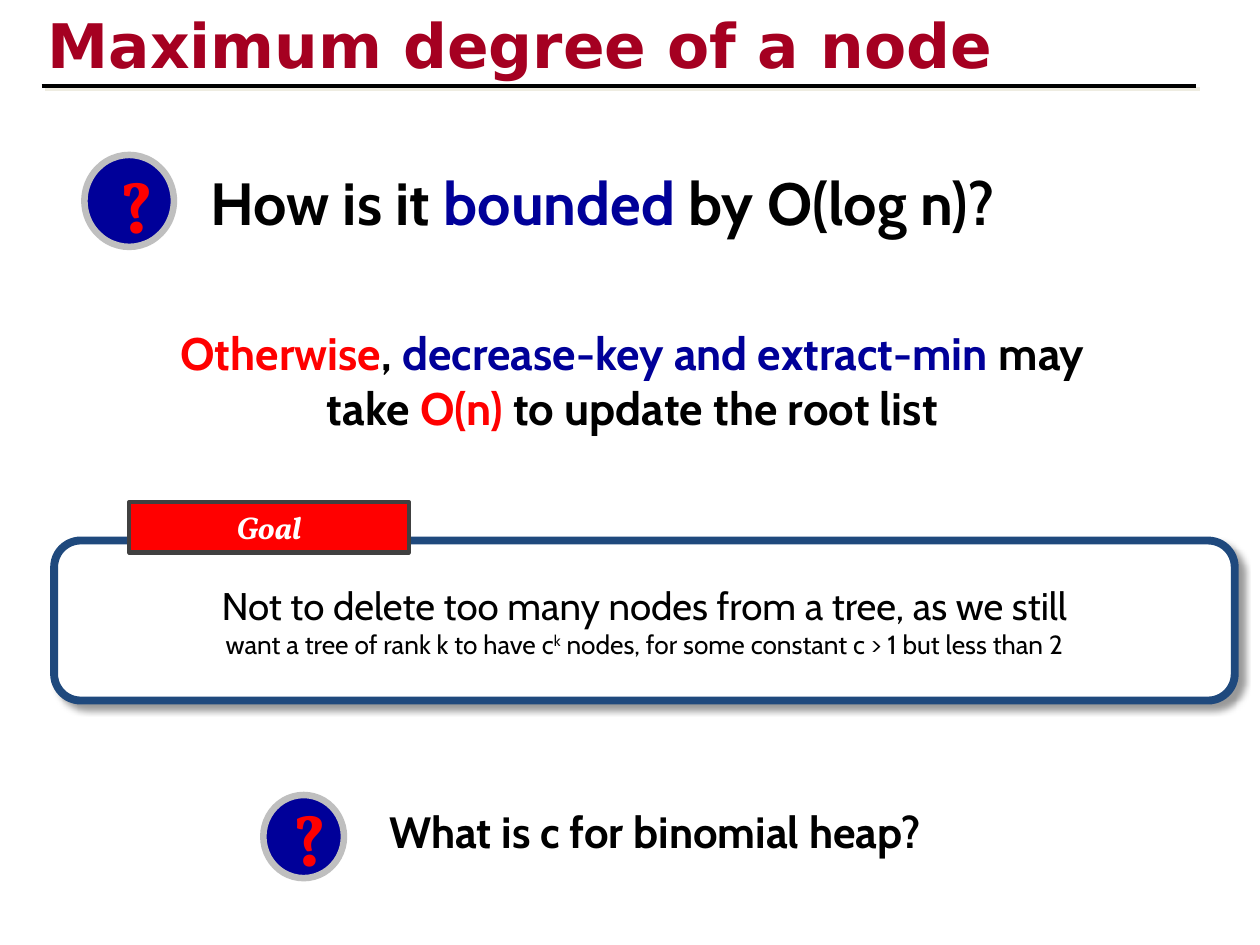
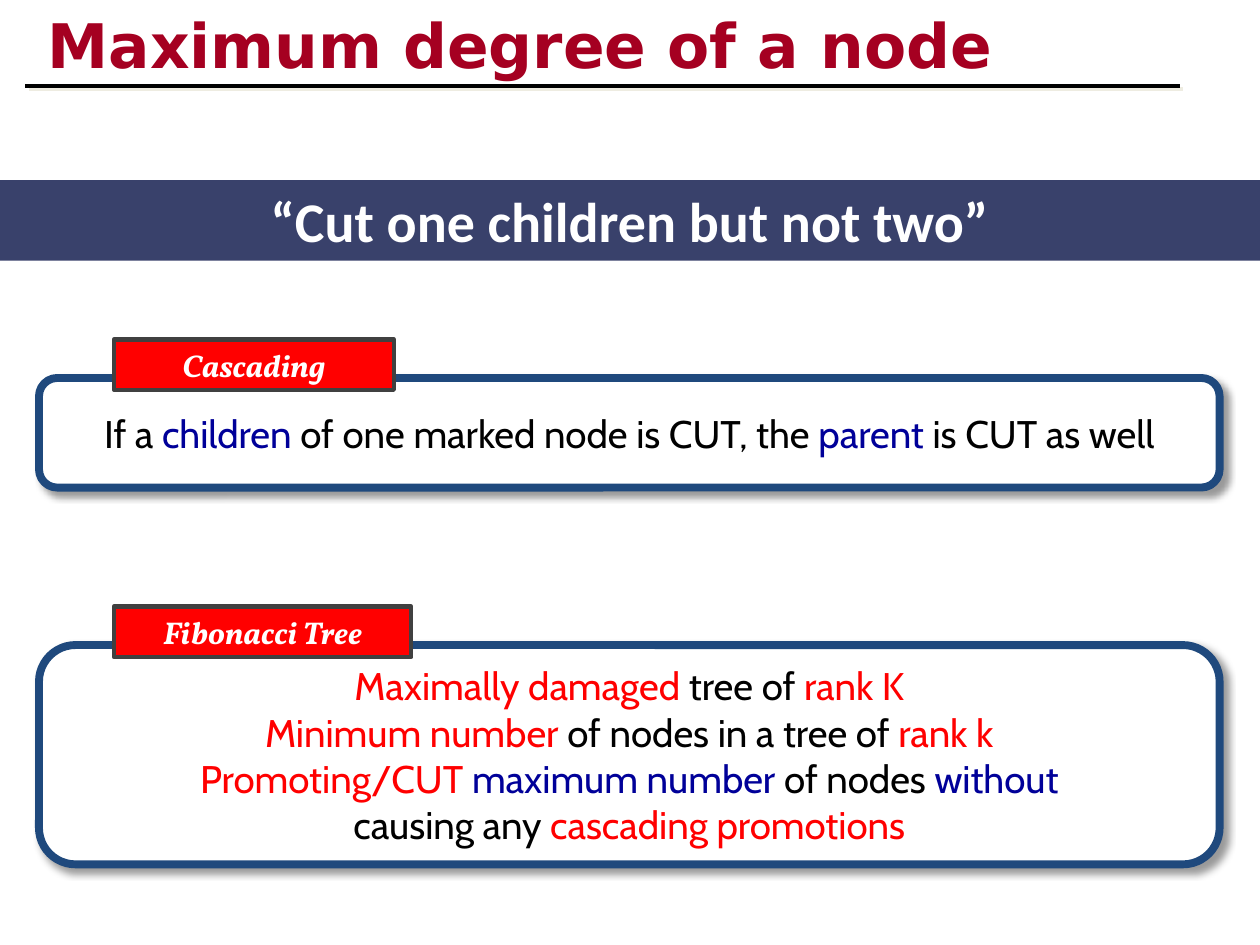
from dataclasses import dataclass

from lxml import etree
from pptx import Presentation
from pptx.dml.color import RGBColor
from pptx.enum.shapes import MSO_CONNECTOR, MSO_SHAPE
from pptx.enum.text import MSO_ANCHOR, MSO_AUTO_SIZE, PP_ALIGN
from pptx.oxml.ns import qn
from pptx.util import Inches, Pt

LEFT, CENTER = PP_ALIGN.LEFT, PP_ALIGN.CENTER
TOP, MIDDLE = MSO_ANCHOR.TOP, MSO_ANCHOR.MIDDLE
RECT, ROUNDED, OVAL = MSO_SHAPE.RECTANGLE, MSO_SHAPE.ROUNDED_RECTANGLE, MSO_SHAPE.OVAL
STRAIGHT = MSO_CONNECTOR.STRAIGHT
NO_AUTOFIT = MSO_AUTO_SIZE.NONE

SLIDE_W, SLIDE_H = Inches(10), Inches(7.5)
COL, ROW = SLIDE_W / 100, SLIDE_H / 75
TITLE_ONLY = 5

COLORS = {
    "title": "A50021",
    "black": "000000",
    "white": "FFFFFF",
    "red": "FF0000",
    "blue": "000099",
    "ring": "BFBFBF",
    "card": "1F497D",
    "label": "404040",
    "band": "39416B",
    "glow": "EEECE1",
}


@dataclass
class Box:
    left: float
    top: float
    width: float
    height: float

    def emu(self):
        return (round(self.left * COL), round(self.top * ROW),
                round(self.width * COL), round(self.height * ROW))

    def inner(self, left, top, width, height):
        return Box(self.left + left, self.top + top, width, height)


@dataclass
class Style:
    font: str
    size: float
    bold: bool = False
    italic: bool = False
    align: int = LEFT


@dataclass
class Run:
    text: str
    color: str = "black"
    size: float = 0
    baseline: int = 0


TITLE = Style("DejaVu Sans", 35.1, bold=True)
QUESTION = Style("Cabin", 34, bold=True)
SMALL_QUESTION = Style("Cabin", 25, bold=True)
MARK = Style("Vollkorn", 40, bold=True)
REASON = Style("Cabin", 26, bold=True, align=CENTER)
CARD = Style("Cabin", 22, align=CENTER)
LABEL = Style("Vollkorn", 18, bold=True, italic=True, align=CENTER)
BAND = Style("Calibri", 32, bold=True, align=CENTER)


def rgb(name):
    return RGBColor.from_string(COLORS[name])


def shadow_effect(color, alpha, blur, distance):
    effects = etree.Element(qn("a:effectLst"))
    outer = etree.SubElement(effects, qn("a:outerShdw"), blurRad=str(Pt(blur)),
                             dist=str(Pt(distance)), dir=str(45 * 60000),
                             algn="tl", rotWithShape="0")
    tint = etree.SubElement(outer, qn("a:srgbClr"), val=COLORS[color])
    etree.SubElement(tint, qn("a:alpha"), val=str(alpha * 1000))
    return effects


def write(frame, paragraphs, style, anchor=TOP, wrap=True):
    frame.word_wrap = wrap
    frame.auto_size = NO_AUTOFIT
    frame.vertical_anchor = anchor
    for index, runs in enumerate(paragraphs):
        paragraph = frame.add_paragraph() if index else frame.paragraphs[0]
        paragraph.alignment = style.align
        for part in runs:
            run = paragraph.add_run()
            run.text = part.text
            run.font.name = style.font
            run.font.size = Pt(part.size or style.size)
            run.font.bold = style.bold
            run.font.italic = style.italic
            run.font.color.rgb = rgb(part.color)
            if part.baseline:
                run._r.get_or_add_rPr().set("baseline", str(part.baseline * 1000))


def add_text(slide, box, runs, style):
    write(slide.shapes.add_textbox(*box.emu()).text_frame, [runs], style)


def add_panel(slide, kind, box, fill, line=None, line_width=0):
    panel = slide.shapes.add_shape(kind, *box.emu())
    panel.shadow.inherit = False
    panel.fill.solid()
    panel.fill.fore_color.rgb = rgb(fill)
    if line:
        panel.line.color.rgb = rgb(line)
        panel.line.width = Pt(line_width)
    else:
        panel.line.fill.background()
    return panel


def add_heading(slide, rule_left):
    heading = slide.shapes.title
    heading.left, heading.top, heading.width, heading.height = Box(2.8, 0.1, 85, 6.7).emu()
    write(heading.text_frame, [[Run("Maximum degree of a node", "title")]], TITLE)
    letters = heading.text_frame.paragraphs[0].runs[0]._r.get_or_add_rPr()
    letters.find(qn("a:solidFill")).addnext(shadow_effect("glow", 100, 0, 2.8))

    left, top, width, _ = Box(rule_left, 6.8, 91.65, 0).emu()
    rule = slide.shapes.add_connector(STRAIGHT, left, top, left + width, top)
    rule.line.color.rgb = rgb("black")
    rule.line.width = Pt(2.25)
    rule._element.spPr.append(shadow_effect("glow", 100, 0, 2.8))


def add_badge(slide, box, mark_left, mark_top):
    add_panel(slide, OVAL, box, "blue", "ring", 3.75)
    mark = box.inner(mark_left, mark_top, box.width * 0.68, box.height * 1.06)
    add_text(slide, mark, [Run("?", "red")], MARK)


def add_card(slide, box, label, label_width, paragraphs):
    card = add_panel(slide, ROUNDED, box, "white", "card", 4.5)
    effects = card._element.spPr.find(qn("a:effectLst"))
    effects.getparent().replace(effects, shadow_effect("black", 40, 4, 4))
    write(card.text_frame, paragraphs, CARD, MIDDLE, wrap=False)
    tag = add_panel(slide, RECT, box.inner(5.95, -3.05, label_width, 4), "red", "label", 2.5)
    write(tag.text_frame, [[Run(label, "white")]], LABEL, MIDDLE)


def add_band(slide, box, text):
    band = add_panel(slide, RECT, box, "band")
    write(band.text_frame, [[Run(text, "white")]], BAND, MIDDLE)


def new_slide(deck, rule_left):
    slide = deck.slides.add_slide(deck.slide_layouts[TITLE_ONLY])
    add_heading(slide, rule_left)
    return slide


def build_bound_slide(deck):
    slide = new_slide(deck, rule_left=3.3)
    add_text(slide, Box(15.7, 12.7, 83.1, 6.7),
             [Run("How is it "), Run("bounded", "blue"), Run(" by O(log n)?")], QUESTION)
    add_badge(slide, Box(6.7, 12.3, 7.1, 7.3), 1.6, 0.2)
    add_text(slide, Box(11.4, 25.3, 77.6, 9.8),
             [Run("Otherwise", "red"), Run(", "),
              Run("decrease-key and extract-min", "blue"), Run(" may take "),
              Run("O(n) ", "red"), Run("to update the root list")], REASON)
    add_card(slide, Box(4.3, 42.9, 93.7, 12.7), "Goal", 22.2, [
        [Run("Not to delete too many nodes from a tree, as we still")],
        [Run("want a tree of rank k to have c", size=15),
         Run("k", size=15, baseline=30),
         Run(" nodes, for some constant c > 1 but less than 2", size=15)],
    ])
    add_text(slide, Box(29.9, 63.4, 57.1, 5.2),
             [Run("What is c for binomial heap?")], SMALL_QUESTION)
    add_badge(slide, Box(20.9, 63.1, 6.4, 6.6), 1.1, -0.4)


def build_cut_slide(deck):
    slide = new_slide(deck, rule_left=2)
    add_band(slide, Box(0, 14.3, 100, 6.4), "“Cut one children but not two”")
    add_card(slide, Box(3.1, 30, 93.7, 8.7), "Cascading", 22.2, [
        [Run("If a "), Run("children", "blue"), Run(" of one marked node is CUT, the "),
         Run("parent", "blue"), Run(" is CUT as well")],
    ])
    add_card(slide, Box(3.1, 51.2, 93.7, 17.4), "Fibonacci Tree", 23.6, [
        [Run("Maximally damaged", "red"), Run(" tree of "), Run("rank K", "red")],
        [Run("Minimum number", "red"), Run(" of nodes in a tree of "), Run("rank k", "red")],
        [Run("Promoting/CUT ", "red"), Run("maximum number ", "blue"),
         Run("of nodes "), Run("without", "blue")],
        [Run("causing any "), Run("cascading promotions", "red")],
    ])


def main():
    deck = Presentation()
    deck.slide_width, deck.slide_height = SLIDE_W, SLIDE_H
    build_bound_slide(deck)
    build_cut_slide(deck)
    deck.save("out.pptx")


if __name__ == "__main__":
    main()
